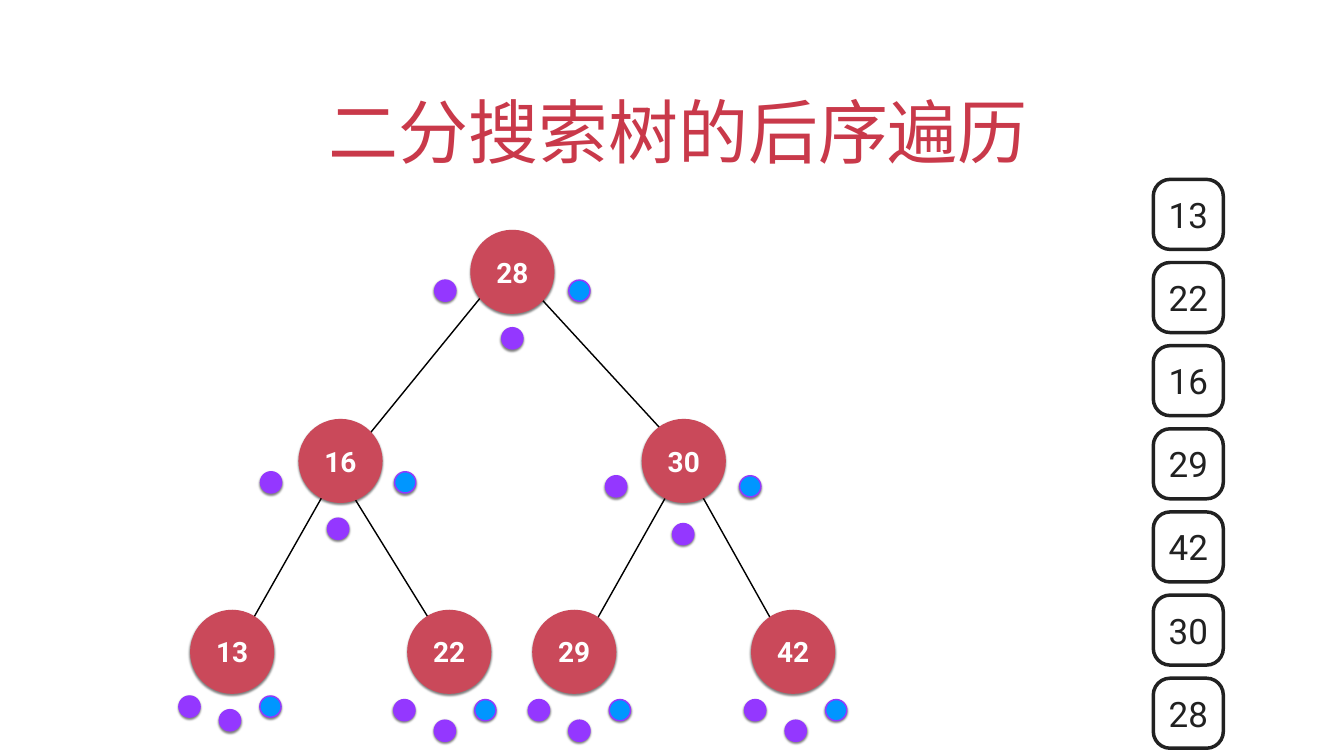
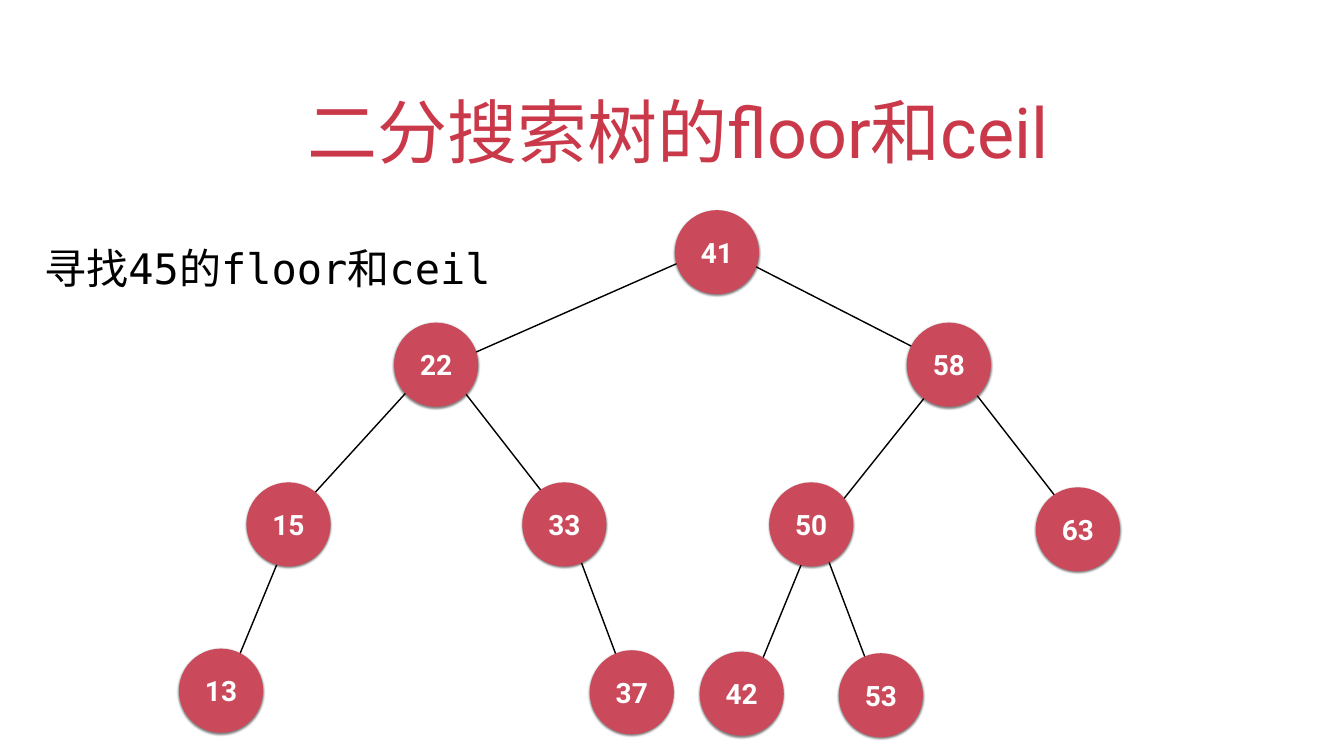
"""Build two slides on binary search trees: post-order traversal, and floor and ceil."""
from dataclasses import dataclass

from lxml.etree import SubElement
from pptx import Presentation
from pptx.dml.color import RGBColor
from pptx.enum.shapes import MSO_CONNECTOR, MSO_SHAPE
from pptx.enum.text import MSO_ANCHOR, MSO_AUTO_SIZE, PP_ALIGN
from pptx.oxml.ns import qn
from pptx.util import Cm, Pt


@dataclass(frozen=True)
class Theme:
    """Colours, fonts and sizes shared by both slides."""
    title: str = "C9394A"
    node: str = "CA495A"
    node_text: str = "FFFFFF"
    edge: str = "000000"
    visit: str = "9437FF"
    last_visit: str = "0096FF"
    output: str = "212121"
    prompt: str = "000000"
    font: str = "Roboto"
    mono: str = "DejaVu Sans Mono"
    title_size: int = 100
    prompt_size: int = 60
    output_size: int = 50
    node_size: int = 40
    line_width: int = 2
    output_width: int = 5


THEME = Theme()
SLIDE_SIZE = (67.73, 38.1)
TITLE_BOX = (4.93, 3.23, 57.86, 5.64)
TITLE_INDENT = 0.64
INSET = 0.16
NODE_DIAMETER = 4.24
DOT_DIAMETER = 1.07

POSTORDER_TITLE = "二分搜索树的后序遍历"
POSTORDER_NODES = [
    ("28", 25.82, 13.7),
    ("16", 17.16, 23.23), ("30", 34.46, 23.23),
    ("13", 11.7, 32.85), ("22", 22.64, 32.85),
    ("29", 28.94, 32.85), ("42", 39.97, 32.85),
]
POSTORDER_EDGES = [
    (34.93, 23.39, 26.04, 13.72), (17.09, 23.75, 25.55, 13.36),
    (29.08, 32.99, 34.44, 23.47), (22.63, 32.82, 16.94, 23.62),
    (40.01, 33.27, 34.37, 23.19), (11.73, 32.99, 17.12, 23.47),
]
INNER_SPREAD, LEAF_SPREAD = 3.38, 2.04
VISIT_DOTS = [
    (25.82, INNER_SPREAD, 14.65, 17.05),
    (17.04, INNER_SPREAD, 24.31, 26.65),
    (11.59, LEAF_SPREAD, 35.61, 36.3),
    (22.42, LEAF_SPREAD, 35.79, 36.83),
    (29.2, LEAF_SPREAD, 35.79, 36.83),
    (40.1, LEAF_SPREAD, 35.79, 36.83),
    (34.43, INNER_SPREAD, 24.51, 26.92),
]
OUTPUT_ORDER = ["13", "22", "16", "29", "42", "30", "28"]
OUTPUT_LEFT, OUTPUT_TOP = 58.12, 9.04
OUTPUT_SIDE, OUTPUT_STEP = 3.53, 4.19

FLOOR_TITLE = "二分搜索树的floor和ceil"
FLOOR_PROMPT = "寻找45的floor和ceil"
PROMPT_BOX = (2.08, 11.23, 31.17, 3.25)
FLOOR_NODES = [
    ("41", 36.13, 12.71),
    ("22", 21.98, 18.38), ("58", 47.82, 18.38),
    ("15", 14.54, 26.43), ("33", 28.44, 26.43),
    ("50", 40.88, 26.43), ("63", 54.32, 26.68),
    ("13", 11.14, 34.81), ("37", 31.84, 34.89),
    ("42", 37.38, 34.96), ("53", 44.39, 35.04),
]
FLOOR_EDGES = [
    (54.97, 27.31, 47.9, 18.21), (44.48, 35.48, 41.12, 26.59),
    (37.54, 35.38, 41.15, 26.57), (31.93, 35.36, 28.58, 26.44),
    (11.15, 35.23, 14.78, 26.44), (47.52, 18.26, 36.25, 12.5),
    (22, 18.62, 35.89, 12.5), (41.22, 26.77, 48.03, 18.24),
    (29.08, 27.05, 22, 17.96), (14.33, 26.52, 21.62, 18.52),
]


def lengths(values):
    return [Cm(value) for value in values]


def color(code):
    return RGBColor.from_string(code)


def write(shape, text, size, code, font=THEME.font, bold=False,
          align=PP_ALIGN.CENTER, anchor=MSO_ANCHOR.MIDDLE):
    frame = shape.text_frame
    frame.word_wrap = True
    frame.vertical_anchor = anchor
    frame.margin_left = frame.margin_right = Cm(INSET)
    frame.margin_top = frame.margin_bottom = Cm(INSET)
    para = frame.paragraphs[0]
    para.text = text
    para.alignment = align
    para.font.name = font
    para.font.size = Pt(size)
    para.font.bold = bold
    para.font.color.rgb = color(code)
    return para


def set_outline(shape, code, width):
    shape.line.color.rgb = color(code)
    shape.line.width = Pt(width)


def add_shadow(shape):
    shape.shadow.inherit = False
    effects = shape.element.spPr.find(qn("a:effectLst"))
    shadow = SubElement(effects, qn("a:outerShdw"), blurRad=str(Pt(3)),
                        dist=str(Pt(2)), dir="5400000", rotWithShape="0")
    shade = SubElement(shadow, qn("a:srgbClr"), val="000000")
    SubElement(shade, qn("a:alpha"), val="50000")


def add_circle(shapes, center_x, center_y, diameter, fill):
    box = (center_x - diameter / 2, center_y - diameter / 2, diameter, diameter)
    circle = shapes.add_shape(MSO_SHAPE.OVAL, *lengths(box))
    circle.fill.solid()
    circle.fill.fore_color.rgb = color(fill)
    add_shadow(circle)
    return circle


def add_tree(page, nodes, edges):
    shapes = page.shapes.add_group_shape().shapes
    for ends in edges:
        edge = shapes.add_connector(MSO_CONNECTOR.STRAIGHT, *lengths(ends))
        set_outline(edge, THEME.edge, THEME.line_width)
        SubElement(edge.element.spPr, qn("a:effectLst"))
    for label, center_x, center_y in nodes:
        node = add_circle(shapes, center_x, center_y, NODE_DIAMETER, THEME.node)
        node.line.fill.background()
        write(node, label, THEME.node_size, THEME.node_text, bold=True)


def add_visit_dots(page):
    for center_x, spread, side_y, middle_y in VISIT_DOTS:
        dots = [
            (center_x - spread, side_y, THEME.visit),
            (center_x, middle_y, THEME.visit),
            (center_x + spread, side_y, THEME.last_visit),
        ]
        for dot_x, dot_y, fill in dots:
            dot = add_circle(page.shapes, dot_x, dot_y, DOT_DIAMETER, fill)
            set_outline(dot, THEME.visit, THEME.line_width)


def add_output(page):
    for index, label in enumerate(OUTPUT_ORDER):
        box = (OUTPUT_LEFT, OUTPUT_TOP + index * OUTPUT_STEP, OUTPUT_SIDE, OUTPUT_SIDE)
        cell = page.shapes.add_shape(MSO_SHAPE.ROUNDED_RECTANGLE, *lengths(box))
        cell.adjustments[0] = 0.24
        cell.shadow.inherit = False
        cell.fill.background()
        set_outline(cell, THEME.output, THEME.output_width)
        write(cell, label, THEME.output_size, THEME.output)


def add_page(deck, title):
    page = deck.slides.add_slide(deck.slide_layouts[6])
    box = page.shapes.add_textbox(*lengths(TITLE_BOX))
    para = write(box, title, THEME.title_size, THEME.title, anchor=MSO_ANCHOR.BOTTOM)
    properties = para._p.get_or_add_pPr()
    properties.set("marL", "0")
    properties.set("indent", str(Cm(TITLE_INDENT)))
    return page


def add_prompt(page):
    box = page.shapes.add_textbox(*lengths(PROMPT_BOX))
    para = write(box, FLOOR_PROMPT, THEME.prompt_size, THEME.prompt,
                 font=THEME.mono, align=PP_ALIGN.LEFT)
    para.line_spacing = 1.5
    box.text_frame.auto_size = MSO_AUTO_SIZE.SHAPE_TO_FIT_TEXT


def main():
    deck = Presentation()
    deck.slide_width, deck.slide_height = lengths(SLIDE_SIZE)

    postorder = add_page(deck, POSTORDER_TITLE)
    add_tree(postorder, POSTORDER_NODES, POSTORDER_EDGES)
    add_visit_dots(postorder)
    add_output(postorder)

    floor = add_page(deck, FLOOR_TITLE)
    add_tree(floor, FLOOR_NODES, FLOOR_EDGES)
    add_prompt(floor)

    deck.save("out.pptx")


if __name__ == "__main__":
    main()
